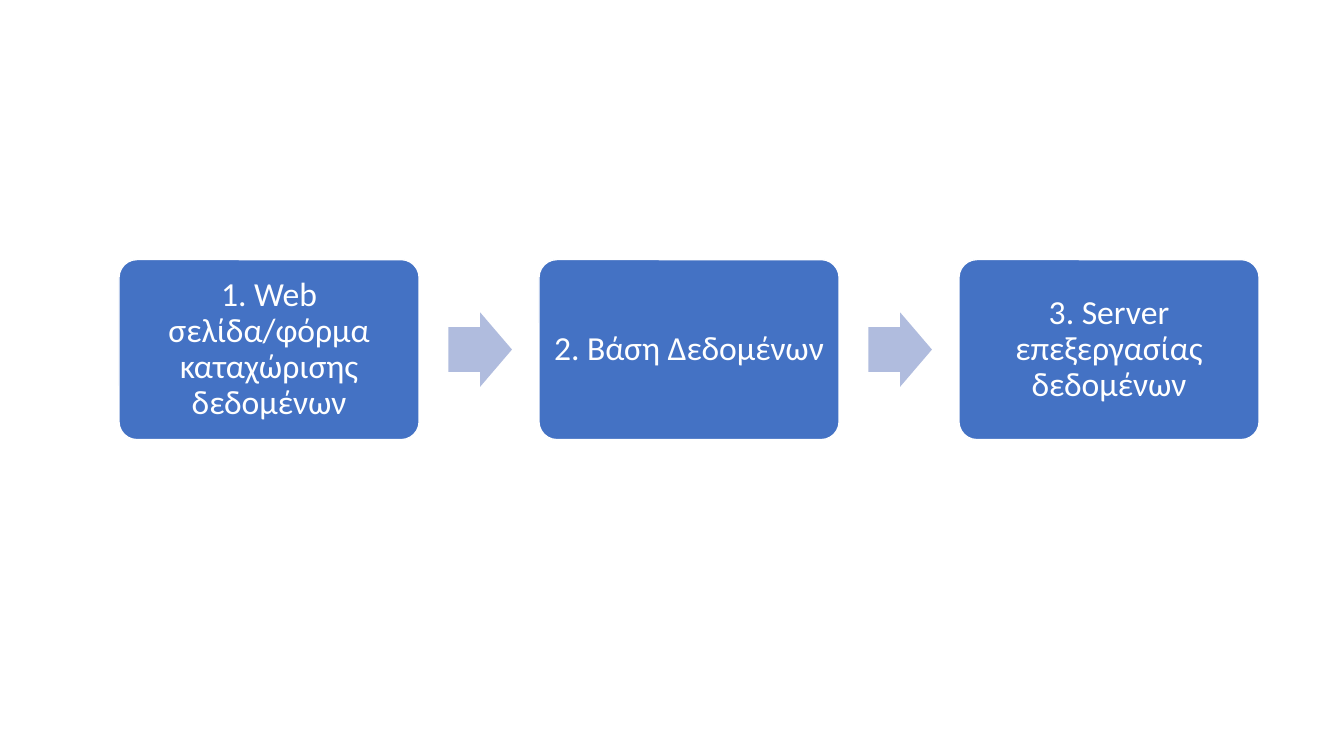
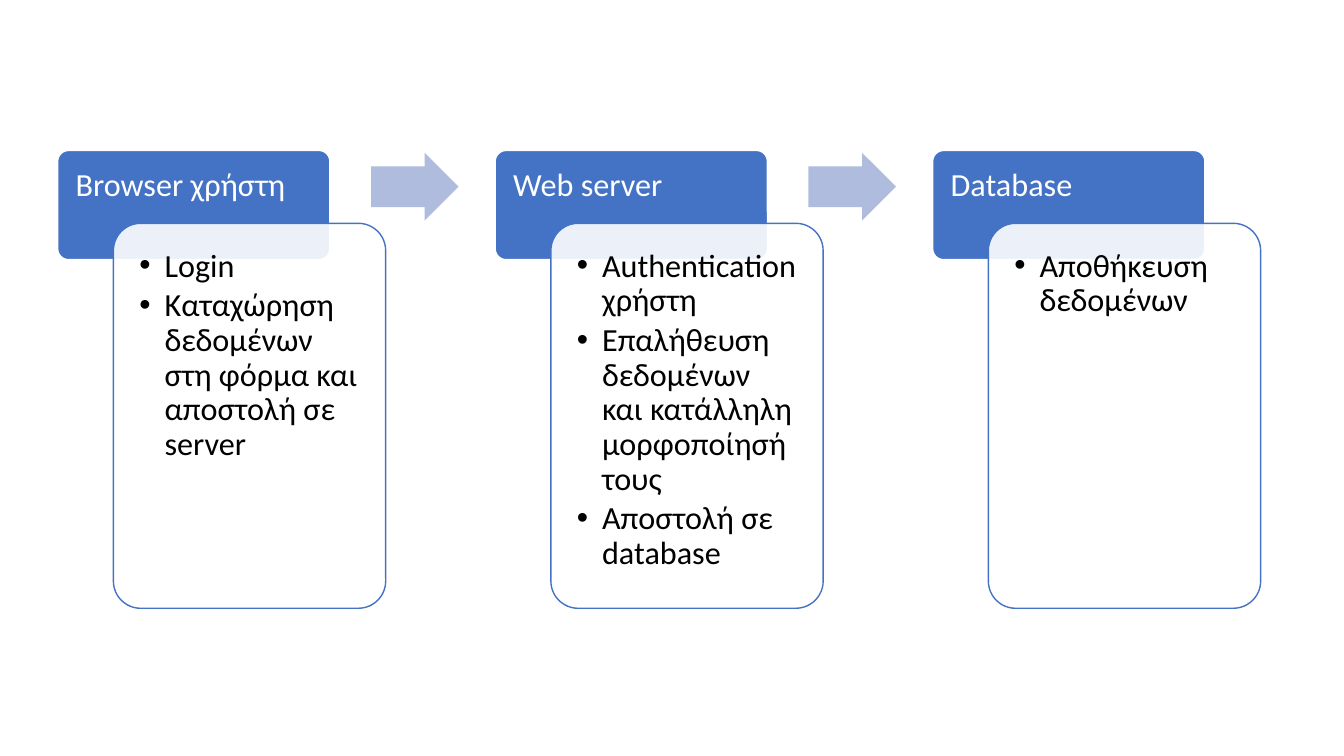
from lxml.etree import SubElement
from pptx import Presentation
from pptx.dml.color import RGBColor
from pptx.enum.shapes import MSO_SHAPE
from pptx.enum.text import MSO_ANCHOR, PP_ALIGN
from pptx.oxml.ns import qn
from pptx.util import Pt

BLUE = RGBColor(0x44, 0x72, 0xC4)
PALE_BLUE = RGBColor(0xB0, 0xBC, 0xDE)
WHITE = RGBColor(0xFF, 0xFF, 0xFF)
BLACK = RGBColor(0x00, 0x00, 0x00)

SYSTEM_PARTS = [
    "1. Web σελίδα/φόρμα καταχώρισης δεδομένων",
    "2. Βάση Δεδομένων",
    "3. Server επεξεργασίας δεδομένων",
]
STAGES = [
    ("Browser χρήστη", ["Login", "Καταχώρηση δεδομένων στη φόρμα και αποστολή σε server"]),
    ("Web server", ["Authentication χρήστη",
                    "Επαλήθευση δεδομένων και κατάλληλη μορφοποίησή τους",
                    "Αποστολή σε database"]),
    ("Database", ["Αποθήκευση δεδομένων"]),
]


def write_text(frame, paragraphs, *, size, color, margins, align=PP_ALIGN.LEFT,
               anchor=MSO_ANCHOR.TOP, bullet_indent=None, space_after=0):
    """Fill the frame; margins are left, top, right, bottom in points."""
    frame.word_wrap = True
    frame.vertical_anchor = anchor
    (frame.margin_left, frame.margin_top,
     frame.margin_right, frame.margin_bottom) = map(Pt, margins)
    for index, words in enumerate(paragraphs):
        paragraph = frame.add_paragraph() if index else frame.paragraphs[0]
        paragraph.alignment = align
        paragraph.line_spacing = 0.9
        paragraph.space_after = Pt(space_after)
        run = paragraph.add_run()
        run.text = words
        run.font.name = "Calibri"
        run.font.size = Pt(size)
        run.font.color.rgb = color
        if bullet_indent:
            properties = paragraph._p.get_or_add_pPr()
            properties.set("marL", str(Pt(bullet_indent)))
            properties.set("indent", str(-Pt(bullet_indent)))
            SubElement(properties, qn("a:buFont"), typeface="Arial")
            SubElement(properties, qn("a:buChar"), char="•")


class FlowDeck:
    def __init__(self):
        self.presentation = Presentation()
        self.presentation.slide_width = Pt(960)
        self.presentation.slide_height = Pt(540)
        self.slide = None

    def new_slide(self):
        blank = self.presentation.slide_layouts[6]
        self.slide = self.presentation.slides.add_slide(blank)

    def shape(self, preset, area, adjustments, fill, line=None, opacity=None):
        shape = self.slide.shapes.add_shape(preset, *map(Pt, area))
        shape.shadow.inherit = False
        for index, value in enumerate(adjustments):
            shape.adjustments[index] = value
        shape.fill.solid()
        shape.fill.fore_color.rgb = fill
        if opacity is not None:
            color = shape.fill._xPr.find(qn("a:solidFill"))[0]
            SubElement(color, qn("a:alpha"), val=str(opacity * 1000))
        if line is None:
            shape.line.fill.background()
        else:
            shape.line.color.rgb = line
            shape.line.width = Pt(1)
        return shape

    def card(self, area, paragraphs, fill=BLUE, line=WHITE, opacity=None, **text_format):
        card = self.shape(MSO_SHAPE.ROUNDED_RECTANGLE, area, [0.1], fill, line, opacity)
        write_text(card.text_frame, paragraphs, **text_format)

    def arrow(self, area):
        self.shape(MSO_SHAPE.RIGHT_ARROW, area, [0.6, 0.5], PALE_BLUE)

    def system_parts(self, parts):
        self.new_slide()
        for index, part in enumerate(parts):
            left = 85 + 300 * index
            self.card((left, 185.4, 214.4, 128.6), [part], size=24, color=WHITE,
                      margins=(7.2,) * 4, align=PP_ALIGN.CENTER,
                      anchor=MSO_ANCHOR.MIDDLE)
            if index < len(parts) - 1:
                self.arrow((left + 235.2, 223.1, 45.5, 53.2))

    def stages(self, stages):
        self.new_slide()
        for index, (heading, steps) in enumerate(stages):
            left = 41.2 + 312.5 * index
            self.card((left, 107.5, 194.5, 78), [heading], size=23, color=WHITE,
                      margins=(10.6, 10.6, 10.6, 7))
            self.card((left + 39.8, 159.5, 194.5, 275), steps, fill=WHITE, line=BLUE,
                      opacity=90, size=23, color=BLACK, margins=(12.9,) * 4,
                      bullet_indent=18, space_after=3.3)
            if index < len(stages) - 1:
                self.arrow((left + 223.8, 109.2, 62.5, 48.4))


def main():
    deck = FlowDeck()
    deck.system_parts(SYSTEM_PARTS)
    deck.stages(STAGES)
    deck.presentation.save("out.pptx")


if __name__ == "__main__":
    main()
